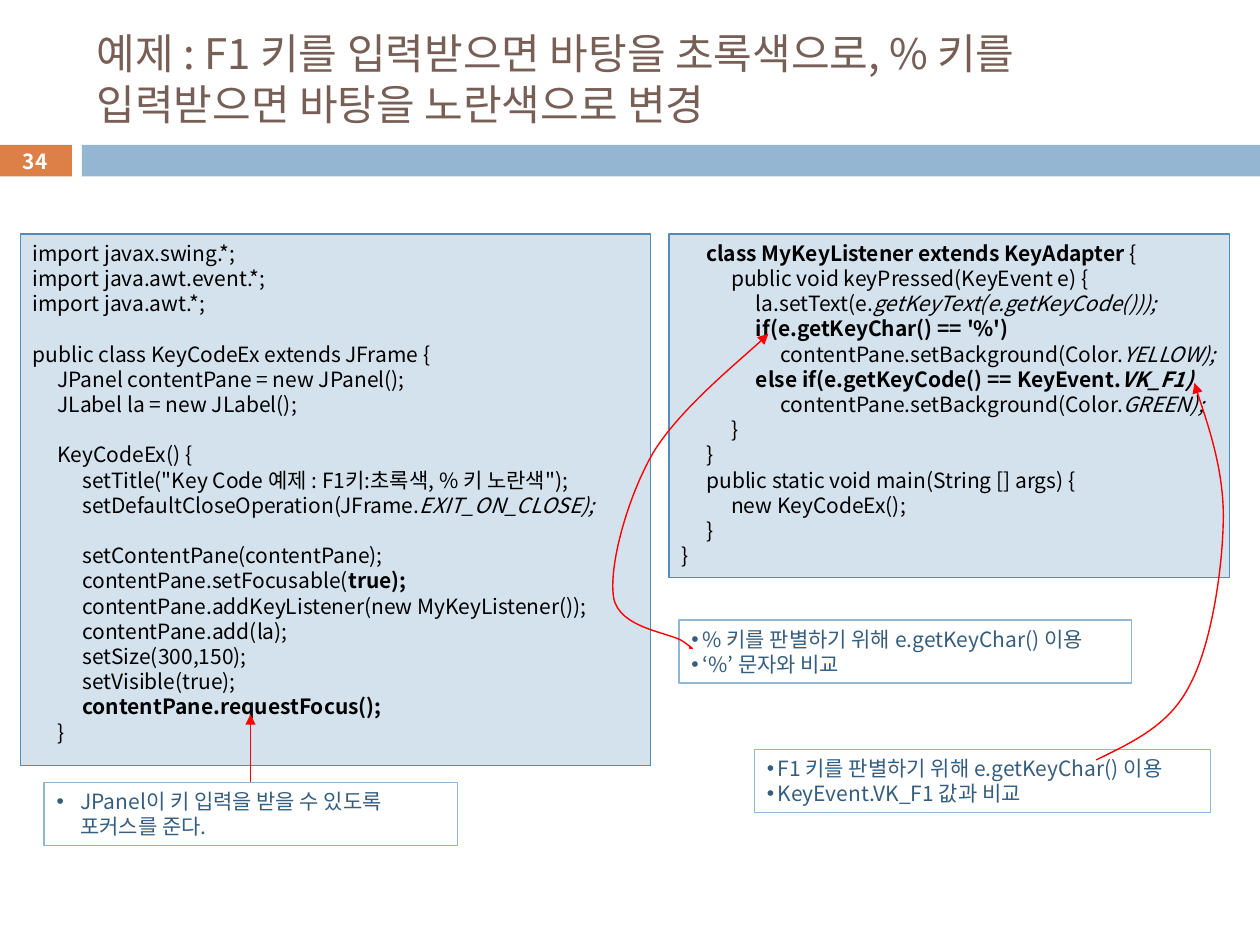
from dataclasses import dataclass
from typing import NamedTuple

import pptx
import pptx.dml.color
import pptx.enum.shapes
import pptx.enum.text
import pptx.oxml
import pptx.oxml.ns
import pptx.util
from pptx.util import Cm, Pt

FONT = "Noto Sans CJK KR"
COLORS = {
    "title": "775F55", "orange": "DD8047", "blue": "94B6D2", "code_fill": "D4E2ED",
    "code_line": "558BB8", "note_text": "355D7E", "black": "000000",
    "white": "FFFFFF", "arrow": "FF0000",
}
CODE_TAB = 0.5
TAB_LEVELS = 4
BODY_SIZE = 12
BODY_SPACING = 14.4
ARROW_WIDTH = 0.79


class Box(NamedTuple):
    left: float
    top: float
    width: float
    height: float

    def lengths(self) -> list:
        return [Cm(value) for value in self]


class Segment(NamedTuple):
    text: str
    bold: bool = False
    italic: bool = False


@dataclass
class CodePanel:
    box: Box
    lines: list  # each line is a list of segments


@dataclass
class Note:
    box: Box
    items: list
    indent: float


def plain(text: str) -> list:
    return [[Segment(line)] for line in text.split("\n")]


LEFT_CODE = CodePanel(Box(0.41, 4.72, 12.7, 10.72), [
    *plain("import javax.swing.*;\nimport java.awt.event.*;\nimport java.awt.*;\n\n"
           "public class KeyCodeEx extends JFrame {\n"
           "\tJPanel contentPane = new JPanel();\n\tJLabel la = new JLabel();\n\n"
           "\tKeyCodeEx() {\n"
           "\t\tsetTitle(\"Key Code 예제 : F1키:초록색, % 키 노란색\");"),
    [Segment("\t\tsetDefaultCloseOperation(JFrame."), Segment("EXIT_ON_CLOSE);", italic=True)],
    *plain("\n\t\tsetContentPane(contentPane);"),
    [Segment("\t\tcontentPane.setFocusable("), Segment("true);", bold=True)],
    *plain("\t\tcontentPane.addKeyListener(new MyKeyListener());\n"
           "\t\tcontentPane.add(la);\n\t\tsetSize(300,150);\n\t\tsetVisible(true);"),
    [Segment("\t\tcontentPane.requestFocus();", bold=True)],
    *plain("\t}"),
])
RIGHT_CODE = CodePanel(Box(13.49, 4.72, 11.3, 6.93), [
    [Segment("\tclass MyKeyListener extends KeyAdapter ", bold=True), Segment("{")],
    *plain("\t\tpublic void keyPressed(KeyEvent e) {"),
    [Segment("\t\t\tla.setText(e."), Segment("getKeyText(e.getKeyCode()));", italic=True)],
    [Segment("\t\t\tif(e.getKeyChar() == '%')", bold=True)],
    [Segment("\t\t\t\tcontentPane.setBackground(Color."), Segment("YELLOW);", italic=True)],
    [Segment("\t\t\telse if(e.getKeyCode() == KeyEvent.", bold=True),
     Segment("VK_F1)", bold=True, italic=True)],
    [Segment("\t\t\t\tcontentPane.setBackground(Color."), Segment("GREEN);", italic=True)],
    *plain("\t\t}\n\t}\n\tpublic static void main(String [] args) {\n"
           "\t\tnew KeyCodeEx();\n\t}\n}"),
])
NOTES = [
    Note(Box(13.69, 12.5, 9.12, 1.27),
         ["% 키를 판별하기 위해 e.getKeyChar() 이용", "‘%’ 문자와 비교"], 0.22),
    Note(Box(15.21, 15.11, 9.19, 1.27),
         ["F1 키를 판별하기 위해 e.getKeyChar() 이용", "KeyEvent.VK_F1 값과 비교"], 0.22),
    Note(Box(0.89, 15.77, 8.33, 1.27),
         ["JPanel이 키 입력을 받을 수 있도록 포커스를 준다."], 0.48),
]
# Start point, then three points for each Bézier curve
PERCENT_ARROW = [
    (13.89, 13.06), (13.97, 13.08), (14.02, 13.11), (13.77, 12.93),
    (13.51, 12.75), (12.47, 12.67), (12.37, 12.04),
    (12.27, 11.4), (12.65, 10.03), (13.16, 9.14),
    (13.69, 8.26), (15.11, 7.11), (15.49, 6.73),
]
F1_ARROW = [
    (22.1, 15.32), (22.83, 14.96), (23.57, 14.63), (23.98, 13.82),
    (24.41, 13.03), (24.64, 11.53), (24.66, 10.52),
    (24.69, 9.45), (24.21, 8.18), (24.08, 7.72),
]


def rgb(name: str) -> pptx.dml.color.RGBColor:
    return pptx.dml.color.RGBColor.from_string(COLORS[name])


def add_element(parent, tag: str, **attributes):
    element = pptx.oxml.parse_xml(f'<{tag} {pptx.oxml.ns.nsdecls("a")}/>')
    for key, value in attributes.items():
        element.set(key, str(value))
    parent.append(element)
    return element


def add_rectangle(slide, box: Box, fill: str | None, line: str | None = None):
    shape = slide.shapes.add_shape(pptx.enum.shapes.MSO_SHAPE.RECTANGLE, *box.lengths())
    shape.shadow.inherit = False
    if fill:
        shape.fill.solid()
        shape.fill.fore_color.rgb = rgb(fill)
    else:
        shape.fill.background()
    if line:
        shape.line.color.rgb = rgb(line)
        shape.line.width = Pt(0.75)
    else:
        shape.line.fill.background()
    shape.text_frame.word_wrap = True
    return shape


def fill_text(shape, lines: list, color: str, size: float = BODY_SIZE,
              spacing: float = BODY_SPACING, alignment: str = "LEFT",
              anchor: str = "TOP") -> None:
    frame = shape.text_frame
    frame.word_wrap = True
    frame.vertical_anchor = getattr(pptx.enum.text.MSO_ANCHOR, anchor)
    for index, segments in enumerate(lines):
        paragraph = frame.add_paragraph() if index else frame.paragraphs[0]
        paragraph.alignment = getattr(pptx.enum.text.PP_ALIGN, alignment)
        paragraph.line_spacing = Pt(spacing)
        for segment in segments:
            run = paragraph.add_run()
            run.text = segment.text
            run.font.size = Pt(size)
            run.font.bold = segment.bold
            run.font.italic = segment.italic
            run.font.color.rgb = rgb(color)
            run.font.name = FONT
            add_element(run.font._element, "a:ea", typeface=FONT)


def add_code(slide, panel: CodePanel) -> None:
    shape = add_rectangle(slide, panel.box, "code_fill", "code_line")
    shape.text_frame.margin_right = 0
    fill_text(shape, panel.lines, "black")
    for paragraph in shape.text_frame.paragraphs:
        tabs = add_element(paragraph._p.get_or_add_pPr(), "a:tabLst")
        for level in range(1, TAB_LEVELS + 1):
            add_element(tabs, "a:tab", pos=Cm(CODE_TAB * level), algn="l")


def add_note(slide, note: Note) -> None:
    shape = add_rectangle(slide, note.box, None, "blue")
    fill_text(shape, [[Segment(item)] for item in note.items], "note_text")
    for paragraph in shape.text_frame.paragraphs:
        properties = paragraph._p.get_or_add_pPr()
        properties.set("marL", str(Cm(note.indent)))
        properties.set("indent", str(-Cm(note.indent)))
        add_element(properties, "a:buFont", typeface="Arial")
        add_element(properties, "a:buChar", char="•")


def style_arrow(shape) -> None:
    shape.line.color.rgb = rgb("arrow")
    shape.line.width = Pt(ARROW_WIDTH)
    add_element(shape.line._get_or_add_ln(), "a:tailEnd", type="triangle")


def add_curved_arrow(slide, points: list) -> None:
    """Build a freeform and join each three line points into one cubic curve."""
    points = [(Cm(x), Cm(y)) for x, y in points]
    builder = slide.shapes.build_freeform(*points[0])
    builder.add_line_segments(points[1:], close=False)
    shape = builder.convert_to_shape()
    shape.shadow.inherit = False
    shape.fill.background()
    style_arrow(shape)
    outline = shape._element.find(".//" + pptx.oxml.ns.qn("a:path"))
    segments = outline.findall(pptx.oxml.ns.qn("a:lnTo"))
    for start in range(0, len(segments), 3):
        curve = add_element(outline, "a:cubicBezTo")
        for segment in segments[start:start + 3]:
            curve.append(segment[0])
            outline.remove(segment)


def add_straight_arrow(slide, x: float, start: float, end: float) -> None:
    connector = slide.shapes.add_connector(
        pptx.enum.shapes.MSO_CONNECTOR.STRAIGHT, Cm(x), Cm(start), Cm(x), Cm(end))
    style_arrow(connector)
    add_element(connector._element.spPr, "a:effectLst")


def main() -> None:
    presentation = pptx.Presentation()
    presentation.slide_width, presentation.slide_height = Cm(25.4), Cm(19.05)
    slide = presentation.slides.add_slide(presentation.slide_layouts[6])

    number = add_rectangle(slide, Box(-0.03, 2.92, 1.48, 0.64), "orange")
    number.text_frame.margin_top = number.text_frame.margin_bottom = 0
    fill_text(number, [[Segment("34", bold=True)]], "white", 11.9, BODY_SPACING,
              "CENTER", "MIDDLE")
    add_rectangle(slide, Box(1.65, 2.92, 23.75, 0.64), "blue")
    title = slide.shapes.add_textbox(*Box(1.7, 0.64, 22.66, 1.88).lengths())
    fill_text(title, [[Segment("예제 : F1 키를 입력받으면 바탕을 초록색으로, "
                               "% 키를 입력받으면 바탕을 노란색으로 변경")]],
              "title", 24, 29, anchor="MIDDLE")

    add_code(slide, RIGHT_CODE)
    for note in NOTES:
        add_note(slide, note)
    add_code(slide, LEFT_CODE)
    add_straight_arrow(slide, 5.05, 15.77, 14.4)
    for points in (PERCENT_ARROW, F1_ARROW):
        add_curved_arrow(slide, points)
    presentation.save("out.pptx")


if __name__ == "__main__":
    main()
